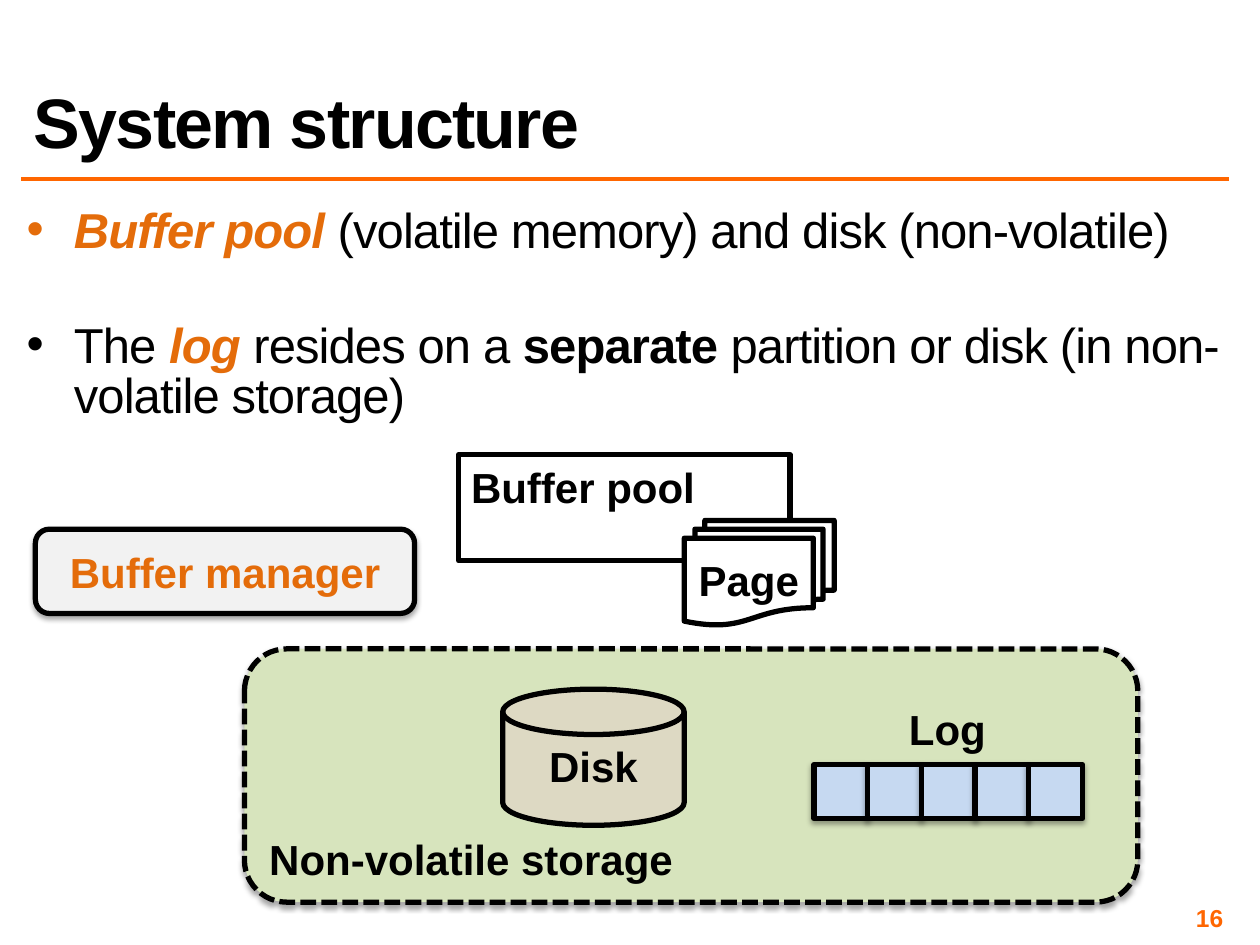
from pptx import Presentation
from pptx import util as u
from pptx.dml.color import RGBColor
from pptx.enum import dml, shapes, text
from pptx.oxml import parse_xml
from pptx.oxml.ns import nsdecls

Pt = u.Pt
S, A, V = shapes.MSO_SHAPE, text.PP_ALIGN, text.MSO_ANCHOR
BLACK, ORANGE, BRIGHT = "000000", "E46C0A", "FF6600"

# Content: runs are (text, format)
KEY = dict(color=ORANGE, bold=True, italic=True)
BULLETS = [
    (5.6, ORANGE, [("Buffer pool ", KEY),
                   ("(volatile memory) and disk (non-volatile)", {})]),
    (37.2, BLACK, [("The ", {}), ("log ", KEY), ("resides on a ", {}),
                   ("separate", dict(bold=True)),
                   (" partition or disk (in non-volatile storage)", {})]),
]
# preset, box, fill, label, label format, shape format
STORE = (S.ROUNDED_RECTANGLE, (139.7, 370.8, 510.5, 144.7), "D7E4BD",
         "Non-volatile storage", dict(anchor=V.BOTTOM), dict(dash=True, shade=True))
MID = dict(align=A.CENTER, anchor=V.MIDDLE)
PARTS = [
    STORE,
    (S.FLOWCHART_MAGNETIC_DISK, (287.3, 393.8, 103.7, 77.8), "DDD9C3",
     "Disk", dict(align=A.CENTER), {}),
    (S.RECTANGLE, (262.1, 259.9, 189.4, 60.5), None, "Buffer pool", {}, {}),
    (S.FLOWCHART_ALTERNATE_PROCESS, (20.2, 302.4, 216.7, 48.2), "F2F2F2",
     "Buffer manager", dict(MID, color=ORANGE), dict(shade=True)),
    (S.FLOWCHART_MULTIDOCUMENT, (391, 297.4, 85.7, 59.8), "FFFFFF",
     "Page", MID, {}),
]
CELLS, CELL, LOG = 5, 30.7, (465.1, 437)


def rgb(code):
    return RGBColor.from_string(code)


def write(box, runs, new=False, size=24, color=BLACK, bold=True, align=A.LEFT,
          anchor=V.TOP, inset=None, wrap=True, gap=0, lead=None, track=0):
    frame = box.text_frame
    frame.word_wrap, frame.vertical_anchor = wrap, anchor
    if inset is not None:
        frame.margin_left = frame.margin_right = Pt(inset)
        frame.margin_top = frame.margin_bottom = Pt(inset)
    para = frame.add_paragraph() if new else frame.paragraphs[0]
    para.alignment, para.space_before = align, Pt(gap)
    if lead:
        para.line_spacing = lead
    for words, form in [(runs, {})] if isinstance(runs, str) else runs:
        run = para.add_run()
        run.text = words
        font = run.font
        font.name, font.size = "Arial", Pt(size)
        font.bold = form.get("bold", bold)
        font.italic = form.get("italic", False)
        font.color.rgb = rgb(form.get("color", color))
        if track:
            run._r.get_or_add_rPr().set("spc", str(track))
    return para


def bullet(para, color):
    props = para._p.get_or_add_pPr()
    props.set("marL", str(Pt(27)))
    props.set("indent", str(-Pt(27)))
    for tag in (f'buClr {nsdecls("a")}><a:srgbClr val="{color}"/></a:buClr',
                f'buFont {nsdecls("a")} typeface="Arial"/',
                f'buChar {nsdecls("a")} char="•"/'):
        props.append(parse_xml(f"<a:{tag}>"))


def draw(kind, box, fill, dash=False, shade=False):
    part = slide.shapes.add_shape(kind, *map(Pt, box))
    part.shadow.inherit = False
    if fill:
        part.fill.solid()
        part.fill.fore_color.rgb = rgb(fill)
    else:
        part.fill.background()
    part.line.color.rgb, part.line.width = rgb(BLACK), Pt(3)
    if dash:
        part.line.dash_style = dml.MSO_LINE.SQUARE_DOT
        part.line._ln.prstDash.set("val", "sysDash")
    if shade:
        part._element.spPr.find(".//{*}effectLst").append(parse_xml(
            f'<a:outerShdw {nsdecls("a")} blurRad="{Pt(3.1)}" dist="{Pt(1.8)}" '
            'dir="5400000" rotWithShape="0"><a:srgbClr val="000000">'
            '<a:alpha val="35000"/></a:srgbClr></a:outerShdw>'))
    return part


def label(box, runs, **form):
    area = slide.shapes.add_textbox(*map(Pt, box))
    write(area, runs, **form)
    return area


deck = Presentation()
deck.slide_width, deck.slide_height = Pt(720), Pt(540)
slide = deck.slides.add_slide(deck.slide_layouts[5])

# Title and rule
title = slide.shapes.title
title.left, title.top, title.width, title.height = map(Pt, (12.2, 12.2, 689.8, 84.2))
write(title, "System structure", size=40, anchor=V.BOTTOM, lead=0.85, track=-100)
title.text_frame.auto_size = text.MSO_AUTO_SIZE.NONE
rule = slide.shapes.add_connector(shapes.MSO_CONNECTOR.STRAIGHT,
                                  *map(Pt, (12.2, 102.2, 702, 102.2)))
rule.line.color.rgb, rule.line.width = rgb(BRIGHT), Pt(2)
rule._element.spPr.append(parse_xml(f'<a:effectLst {nsdecls("a")}/>'))

# Bullets
body = slide.shapes.add_textbox(*map(Pt, (12.2, 115.9, 689.8, 141.1)))
for i, (gap, tint, runs) in enumerate(BULLETS):
    bullet(write(body, runs, new=i > 0, size=28, bold=False, inset=3,
                 gap=gap, lead=0.85, track=-50), tint)

# Diagram
for kind, box, fill, name, form, look in PARTS:
    write(draw(kind, box, fill, **look), name, **form)

# Log strip
label((511.9, 398.2, 59, 36), "Log", align=A.CENTER, wrap=False)
for i in range(CELLS):
    draw(S.RECTANGLE, (LOG[0] + i * CELL, LOG[1], CELL, CELL), "C6D9F1", shade=True)

# Slide number
label((534.2, 516.2, 167.8, 16.6), "16", size=14, color=BRIGHT,
      align=A.RIGHT, anchor=V.MIDDLE, inset=3)

deck.save("out.pptx")
